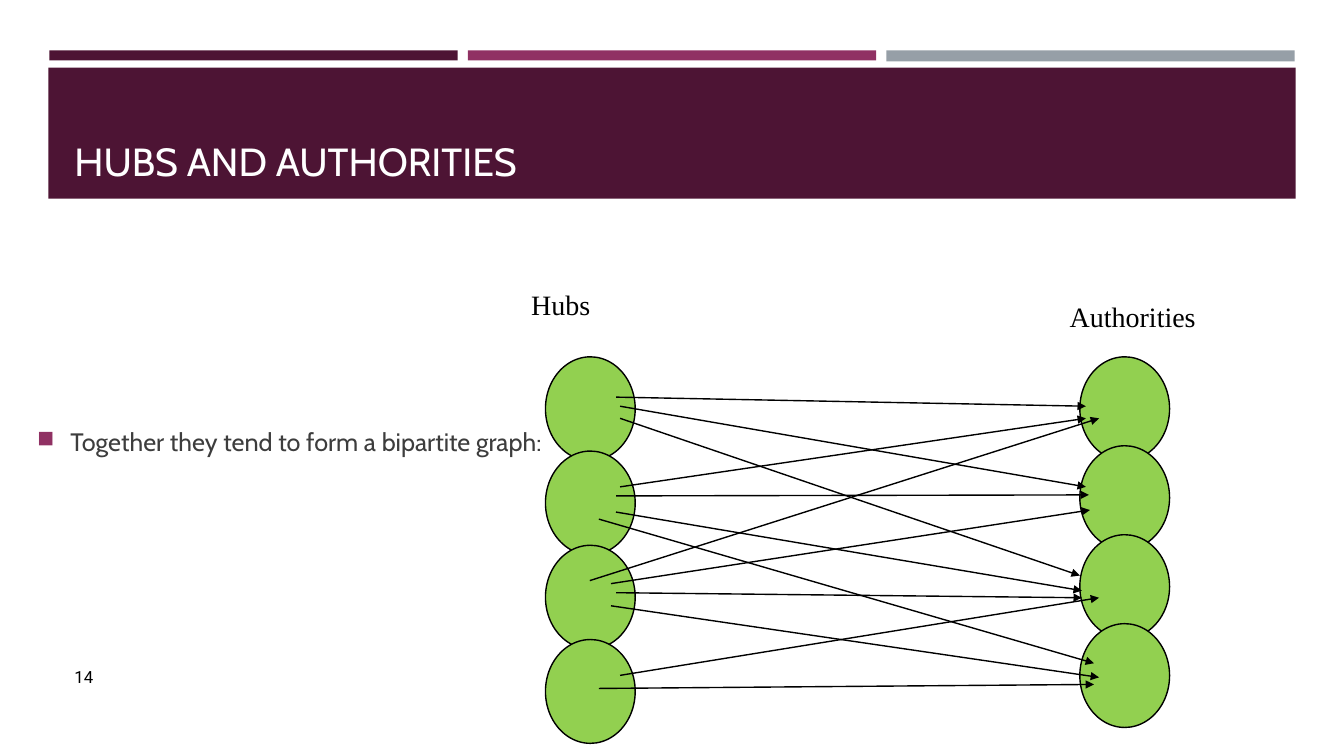
from lxml.etree import SubElement
from pptx import Presentation
from pptx.dml.color import RGBColor
from pptx.enum.shapes import MSO_CONNECTOR, MSO_SHAPE
from pptx.enum.text import MSO_ANCHOR
from pptx.oxml.ns import qn
from pptx.util import Emu, Pt

PX = 9144
BLACK, PLUM, GREEN = "000000", "4D1434", "92D050"
BARS = [(49, 405, 10, PLUM), (464, 405, 10, "903163"), (879, 405, 11, "969FA7")]
HUB_X, AUTHORITY_X, TOP_Y = 541, 1071, 354
HUB_STEP, AUTHORITY_STEP = 93.5, 88.25
ARROWS = [
    (615, 415, 1071, 571), (615, 403, 1077, 483), (611, 394, 1077, 403),
    (615, 483, 1077, 415), (611, 492, 1080, 491), (611, 508, 1073, 586),
    (606, 579, 1081, 506), (611, 588, 1073, 593), (606, 601, 1090, 672),
    (615, 670, 1090, 593), (585, 576, 1090, 415), (594, 683, 1085, 679),
    (594, 515, 1085, 658),
]


def px(*lengths):
    """Turn pixel lengths into EMU."""
    return [Emu(round(n * PX)) for n in lengths]


def color(value):
    """Turn a hex string into a colour."""
    return RGBColor.from_string(value)


def add_preset(s, kind, box, fill, line=None):
    """Add a filled preset shape, outlined if a line colour is given."""
    sp = s.shapes.add_shape(kind, *px(*box))
    sp.shadow.inherit = False
    sp.fill.solid()
    sp.fill.fore_color.rgb = color(fill)
    if line:
        sp.line.color.rgb = color(line)
        sp.line.width = Pt(1)
    else:
        sp.line.fill.background()


def add_column(s, left, step):
    """Add a column of four overlapping nodes."""
    for i in range(4):
        add_preset(s, MSO_SHAPE.OVAL, (left, TOP_Y + i * step, 89, 103), GREEN, BLACK)


def add_arrow(s, ends):
    """Add a thin black arrow."""
    c = s.shapes.add_connector(MSO_CONNECTOR.STRAIGHT, *px(*ends))
    c.line.color.rgb = color(BLACK)
    c.line.width = Pt(1)
    SubElement(c.line._get_or_add_ln(), qn("a:tailEnd"), type="triangle")
    SubElement(c._element.spPr, qn("a:effectLst"))


def add_bullet(p):
    """Give a paragraph a hanging square bullet."""
    pPr = p._p.get_or_add_pPr()
    indent = px(33)[0]
    pPr.set("marL", str(indent))
    pPr.set("indent", str(-indent))
    p.space_after = Pt(6)
    bullet_color = SubElement(pPr, qn("a:buClr"))
    SubElement(bullet_color, qn("a:srgbClr"), val="903163")
    SubElement(pPr, qn("a:buSzPct"), val="92000")
    SubElement(pPr, qn("a:buChar"), char="■")


def add_text(s, box, text, font, size, hue, anchor=MSO_ANCHOR.TOP, wrap=True, bullet=False):
    """Add a one-paragraph text box."""
    tf = s.shapes.add_textbox(*px(*box)).text_frame
    tf.word_wrap = wrap
    tf.vertical_anchor = anchor
    tf.text = text
    p = tf.paragraphs[0]
    if bullet:
        add_bullet(p)
    r = p.runs[0]
    r.font.name = font
    r.font.size = Pt(size)
    r.font.color.rgb = color(hue)


def main():
    """Build the slide and save it."""
    prs = Presentation()
    prs.slide_width, prs.slide_height = px(1333, 750)
    s = prs.slides.add_slide(prs.slide_layouts[6])
    for left, width, height, fill in BARS:
        add_preset(s, MSO_SHAPE.RECTANGLE, (left, 50, width, height), fill)
    add_preset(s, MSO_SHAPE.RECTANGLE, (48, 67, 1237, 130), PLUM)
    add_text(s, (64, 651, 756, 40), "14", "Roboto", 12, BLACK, MSO_ANCHOR.MIDDLE)
    add_text(s, (64, 77, 1206, 111), "HUBS AND AUTHORITIES", "Cabin", 28, "FFFFFF",
             MSO_ANCHOR.BOTTOM)
    add_text(s, (27, 237, 1206, 402), "Together they tend to form a bipartite graph:",
             "Cabin", 18, "3D3D3D", MSO_ANCHOR.MIDDLE, bullet=True)
    add_column(s, HUB_X, HUB_STEP)
    add_column(s, AUTHORITY_X, AUTHORITY_STEP)
    for ends in ARROWS:
        add_arrow(s, ends)
    add_text(s, (517, 280, 86, 44), "Hubs", "Times New Roman", 20, BLACK, wrap=False)
    add_text(s, (1051, 292, 146, 44), "Authorities", "Times New Roman", 20, BLACK, wrap=False)
    prs.save("out.pptx")


if __name__ == "__main__":
    main()
